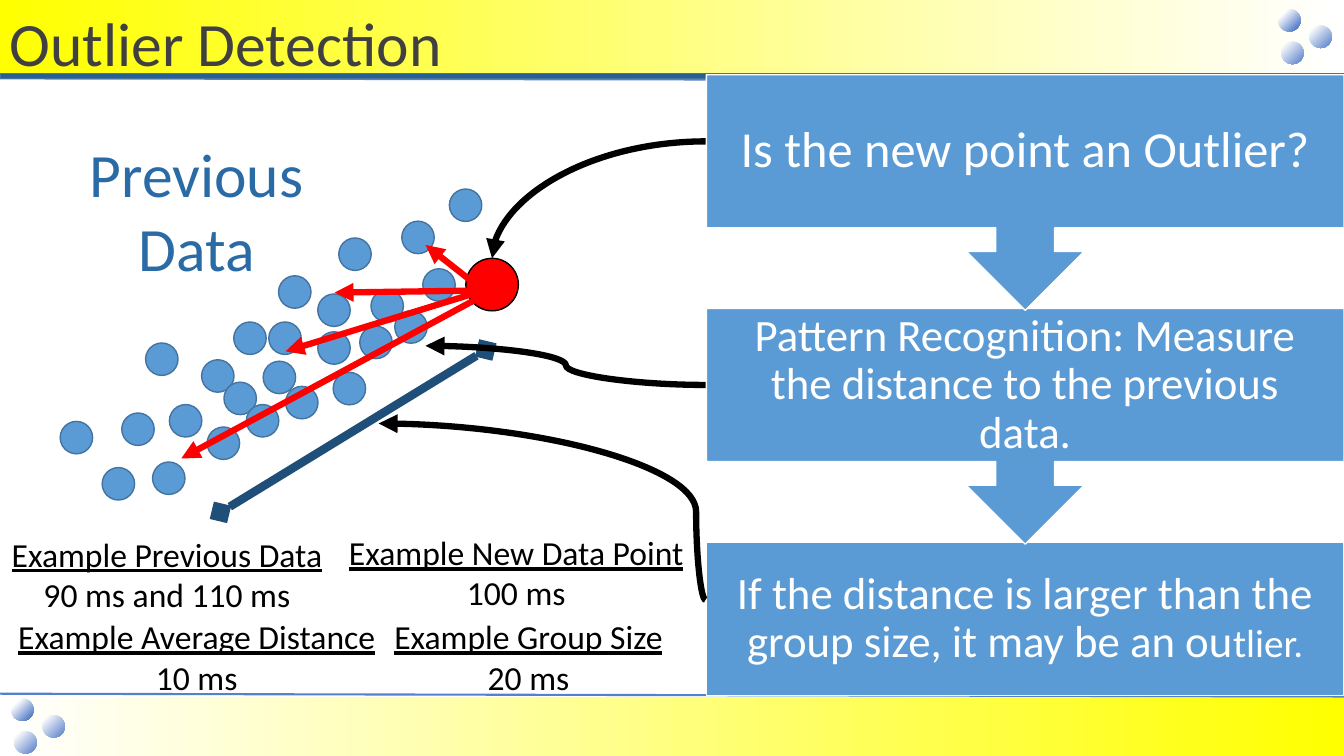
import lxml.etree
import pptx
import pptx.dml.color
import pptx.enum.shapes
import pptx.enum.text
import pptx.oxml.ns
import pptx.util

Pt = pptx.util.Pt
qn = pptx.oxml.ns.qn
KIND = pptx.enum.shapes.MSO_SHAPE
LINK = pptx.enum.shapes.MSO_CONNECTOR
ALIGN = pptx.enum.text.PP_ALIGN
ANCHOR = pptx.enum.text.MSO_ANCHOR
FIT = pptx.enum.text.MSO_AUTO_SIZE

WHITE, BLACK, RED, YELLOW = "FFFFFF", "000000", "FF0000", "FFFF00"
BLUE, EDGE, NAVY, RULE = "5B9BD5", "43739E", "1F4E79", "5780CA"


def tint(code):
    return pptx.dml.color.RGBColor.from_string(code)


def add(root, tag, **attrs):
    return lxml.etree.SubElement(root, qn(tag), attrs)


class Page:
    font = "Calibri"

    def __init__(self, slide):
        self.shapes = slide.shapes

    def shape(self, kind, box, fill=None, edge=None, turn=0):
        item = self.shapes.add_shape(kind, *map(Pt, box))
        item.shadow.inherit = False
        item.rotation = turn
        if fill:
            item.fill.solid()
            item.fill.fore_color.rgb = tint(fill)
        if edge:
            item.line.color.rgb = tint(edge)
            item.line.width = Pt(1)
        else:
            item.line.fill.background()
        return item

    def blend(self, item, stops, angle=0):
        item.fill.gradient()
        item.fill.gradient_angle = angle
        for stop, (place, code) in zip(item.fill.gradient_stops, stops):
            stop.position = place
            stop.color.rgb = tint(code)

    def band(self, top, height, turn):
        bar = self.shape(KIND.RECTANGLE, (0, top, 960, height), turn=turn)
        self.blend(bar, [(0, WHITE), (1, YELLOW)], 180)

    def ball(self, left, top, turn):
        """Draw a sphere shaded from one corner."""
        item = self.shape(KIND.OVAL, (left, top, 16, 16), turn=turn)
        self.blend(item, [(0.15, RULE), (0.78, WHITE)])
        grad = item._element.spPr.find(qn("a:gradFill"))
        grad.remove(grad.find(qn("a:lin")))
        shade = add(grad, "a:path", path="circle")
        add(shade, "a:fillToRect", l="100000", t="100000")

    def line(self, start, end, code, width, head=None, tail=None, curve=None, bend=None):
        """Draw a connector; curve names a curved preset and bend its middle."""
        kind = LINK.CURVE if curve else LINK.STRAIGHT
        item = self.shapes.add_connector(kind, *map(Pt, start + end))
        item.line.color.rgb = tint(code)
        item.line.width = Pt(width)
        frame = item._element.spPr
        if curve:
            geom = frame.find(qn("a:prstGeom"))
            geom.set("prst", curve)
            if bend:
                add(geom.find(qn("a:avLst")), "a:gd", name="adj1", fmla=f"val {bend}")
        stroke = frame.find(qn("a:ln"))
        for tag, mark in (("a:headEnd", head), ("a:tailEnd", tail)):
            if mark:
                add(stroke, tag, type=mark)
        add(frame, "a:effectLst")

    def text(self, box, rows, code, align=ALIGN.CENTER, wrap=True, inset=None):
        """Write rows of (words, size, underline) runs; inset marks a centred panel."""
        item = self.shapes.add_textbox(*map(Pt, box))
        frame = item.text_frame
        frame.word_wrap = wrap
        if inset:
            frame.vertical_anchor = ANCHOR.MIDDLE
            frame.margin_left = frame.margin_right = Pt(inset)
            frame.margin_top = frame.margin_bottom = Pt(inset)
        else:
            frame.auto_size = FIT.SHAPE_TO_FIT_TEXT
        for i, row in enumerate(rows):
            para = frame.add_paragraph() if i else frame.paragraphs[0]
            para.alignment = align
            if inset:
                para.line_spacing = 0.9
            for words, size, under in row:
                run = para.add_run()
                run.text = words
                run.font.name = self.font
                run.font.size = Pt(size)
                run.font.underline = under
                run.font.color.rgb = tint(code)


DOTS = [
    (144, 257), (160, 273), (176, 289), (148, 305), (121, 289),
    (188, 258), (167, 230), (227, 210), (227, 237), (204, 276),
    (192, 230), (238, 266), (109, 330), (199, 197), (257, 233),
    (242, 170), (265, 207), (282, 222), (104, 245), (87, 295),
    (287, 158), (302, 192), (321, 135), (73, 334), (43, 301),
]
RAYS = [
    ((344, 206.5), (304, 175)),
    ((344, 207.5), (239, 209)),
    ((344, 208), (204, 251)),
    ((348, 209.5), (129.5, 327.5)),
]
STEPS = [
    ([("Is the new point an Outlier?", 36, False)], 20),
    ([("Pattern Recognition: Measure the distance to the previous data.", 32, False)], 18),
    ([("If the distance is larger than the group size, it may be an ou", 32, False),
      ("tlier.", 28, False)], 18),
]
NOTES = [
    ((0, 377.5, 238.5, 65.5), "Example Previous Data", "90 ms and 110 ms"),
    ((241, 376.5, 255.5, 65.5), "Example New Data Point", "100 ms"),
    ((4.5, 436.5, 272, 65.5), "Example Average Distance", "10 ms"),
    ((273.5, 436.5, 208, 65.5), "Example Group Size", "20 ms"),
]


def frame(page):
    page.band(0, 54.5, 0)
    page.band(497.5, 43, 180)
    page.line((0, 54.5), (960, 56), RULE, 4.5)
    for left, top in ((8, 499), (913, 6.5)):
        for x, y, turn in ((0, 0, 0), (22.3, 11.8, 120), (2.2, 23.3, 240)):
            page.ball(left + x, top + y, turn)
    page.line((0, 495.5), (960, 497.5), RULE, 1.5)
    page.shape(KIND.RECTANGLE, (0, 52.5, 960, 3.6), "276092", EDGE)


def plot(page):
    for left, top in DOTS:
        page.shape(KIND.OVAL, (left, top, 23.2, 23.2), BLUE, EDGE)
    page.text((0, 0, 344, 60.5), [[("Outlier Detection", 44, False)]], "404040", ALIGN.LEFT)
    page.shape(KIND.OVAL, (332.75, 184.5, 37.5, 37.5), RED, BLACK)
    page.line((504.5, 101), (351.5, 184.5), BLACK, 4.5, tail="triangle",
              curve="curvedConnector2")
    page.line((157.5, 366), (347, 250), NAVY, 6, "diamond", "diamond")
    page.line((504.5, 275), (304, 247), BLACK, 4.5, tail="triangle",
              curve="curvedConnector3")
    for start, end in RAYS:
        page.line(start, end, RED, 4.5, tail="triangle")


def flow(page):
    left, top, gap, wide, high = 504.5, 53.4, 167, 455.5, 109.4
    last = len(STEPS) - 1
    for i in range(last, -1, -1):
        row, inset = STEPS[i]
        y = top + i * gap
        if i == last:
            page.shape(KIND.RECTANGLE, (left, y, wide, high), BLUE, WHITE)
        else:
            page.shape(KIND.UP_ARROW_CALLOUT, (left, y, wide, 168.3), BLUE, WHITE, 180)
        page.text((left, y, wide, high), [row], WHITE, inset=inset)


def notes(page):
    page.line((504, 428.5), (270.5, 302.5), BLACK, 4.5, tail="triangle",
              curve="curvedConnector3", bend=2900)
    page.text((54.5, 93.5, 172, 114), [[("Previous", 44, False)], [("Data", 44, False)]], "2A6BA6")
    for box, head, value in NOTES:
        page.text(box, [[(head, 24, True)], [(value, 24, False)]], BLACK, wrap=False)


def main():
    deck = pptx.Presentation()
    deck.slide_width, deck.slide_height = Pt(960), Pt(540)
    page = Page(deck.slides.add_slide(deck.slide_layouts[6]))
    frame(page)
    plot(page)
    flow(page)
    notes(page)
    deck.save("out.pptx")


if __name__ == "__main__":
    main()
